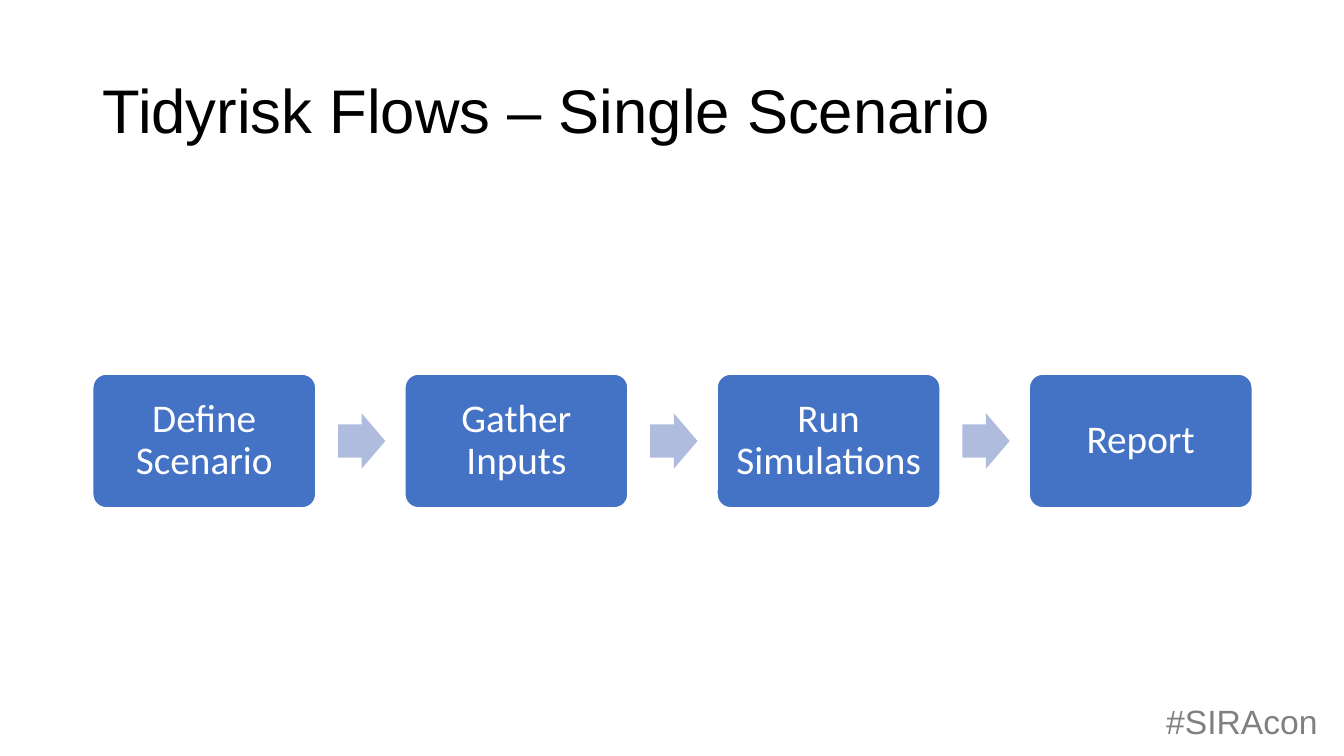
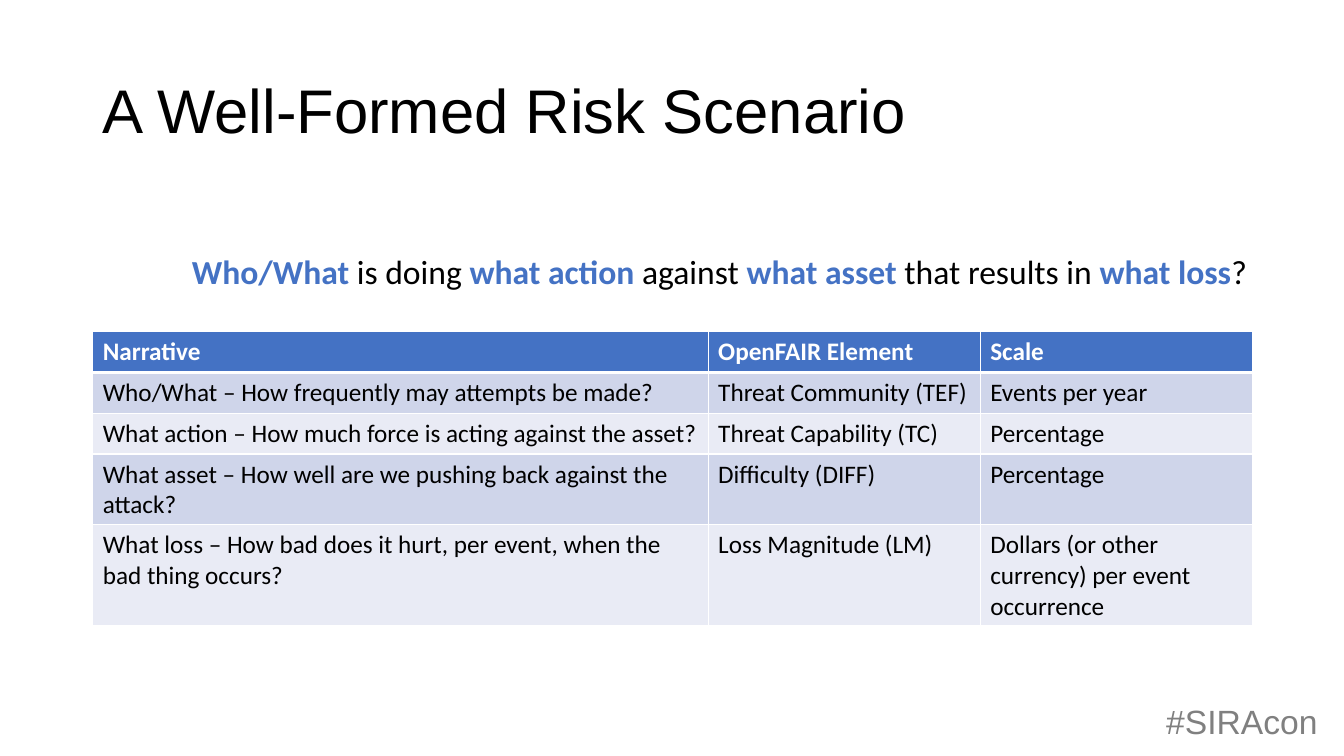
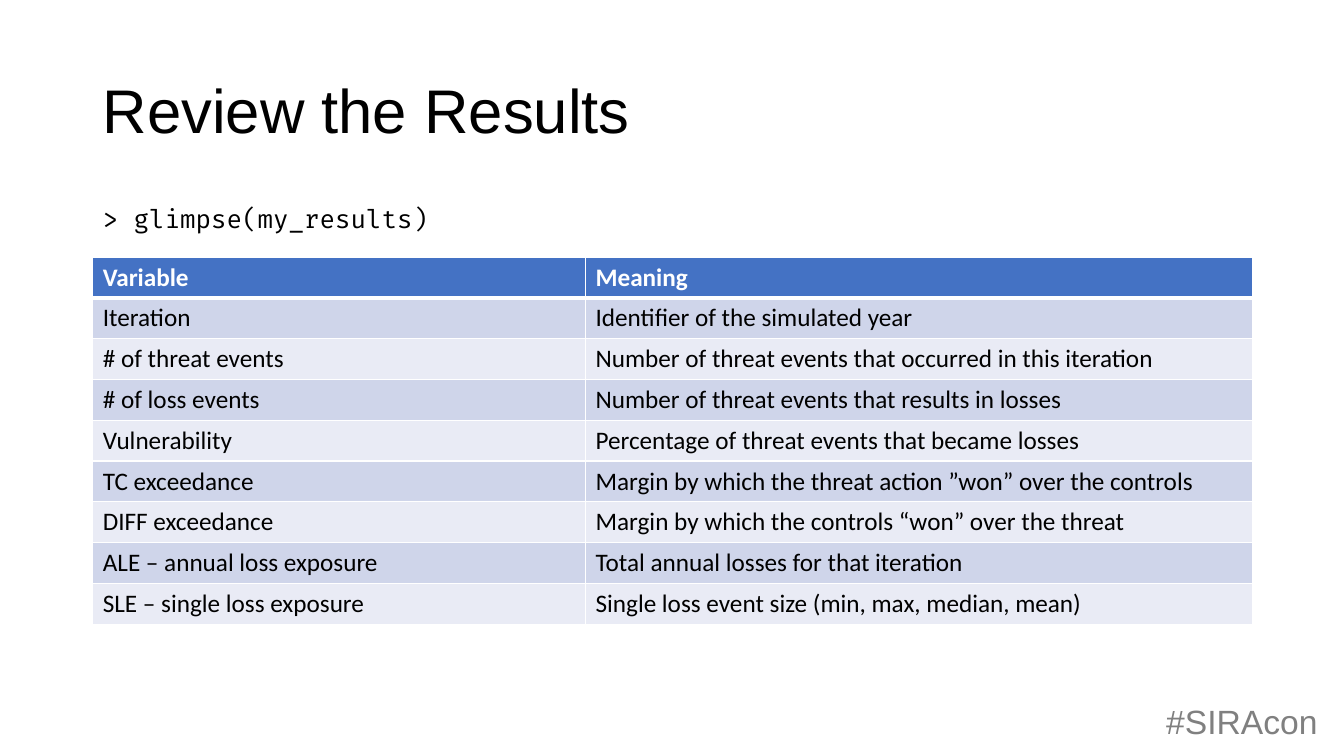
from lxml.etree import SubElement
from pptx import Presentation
from pptx.dml.color import RGBColor
from pptx.enum.shapes import MSO_SHAPE as Shape
from pptx.enum.text import MSO_ANCHOR as Anchor, PP_ALIGN as Align
from pptx.oxml import parse_xml
from pptx.oxml.ns import nsdecls, qn
from pptx.util import Inches, Pt

COLORS = {
    "black": "000000", "white": "FFFFFF", "blue": "4472C4",
    "arrow": "B0BCDE", "footer": "808080",
    "band_dark": "CFD5EA", "band_light": "E9EBF5",
}
WIDTH, HEIGHT = 13.33, 7.5
MARGIN, COLUMNS, ROWS = 0.92, 26, 30
COLUMN, ROW = 11.5 / COLUMNS, HEIGHT / ROWS


def color(name):
    return RGBColor.from_string(COLORS[name])


def columns(count):
    return Inches(count * COLUMN)


def rows(count):
    return Inches(count * ROW)


def place(left, top, width, height):
    return Inches(MARGIN) + columns(left), rows(top), columns(width), rows(height)


class Deck:
    heading_font, body_font, code_font = "Arial", "Calibri", "Fira Code"

    def __init__(self):
        self.presentation = Presentation()
        self.presentation.slide_width = Inches(WIDTH)
        self.presentation.slide_height = Inches(HEIGHT)
        self.slide = None

    def add_slide(self, title):
        self.slide = self.presentation.slides.add_slide(self.presentation.slide_layouts[6])
        self.text((23.85, 27.6, 3.95, 2), [("#SIRAcon", "footer", False)], 24, self.heading_font)
        self.text((0, 1.6, COLUMNS, 5.8), [(title, "black", False)], 44, self.heading_font,
                  Anchor.MIDDLE, 0.9)

    def add_runs(self, paragraph, runs, size, font):
        for text, tint, bold in runs:
            run = paragraph.add_run()
            run.text = text
            run.font.name = font
            run.font.size = Pt(size)
            run.font.bold = bold
            run.font.color.rgb = color(tint)

    def text(self, box, runs, size, font, anchor=Anchor.TOP, spacing=1.0):
        frame = self.slide.shapes.add_textbox(*place(*box)).text_frame
        frame.word_wrap = True
        frame.vertical_anchor = anchor
        paragraph = frame.paragraphs[0]
        paragraph.line_spacing = spacing
        self.add_runs(paragraph, runs, size, font)

    def shape(self, kind, box, fill, adjustments):
        shape = self.slide.shapes.add_shape(kind, *place(*box))
        shape.shadow.inherit = False
        shape.fill.solid()
        shape.fill.fore_color.rgb = color(fill)
        shape.line.fill.background()
        for index, value in enumerate(adjustments):
            shape.adjustments[index] = value
        return shape

    def card(self, box, label):
        shape = self.shape(Shape.ROUNDED_RECTANGLE, box, "blue", [0.1])
        shape.line.color.rgb = color("white")
        shape.line.width = Pt(1)
        frame = shape.text_frame
        frame.word_wrap = True
        frame.vertical_anchor = Anchor.MIDDLE
        frame.margin_left = frame.margin_right = Inches(0.12)
        frame.margin_top = frame.margin_bottom = Inches(0.12)
        paragraph = frame.paragraphs[0]
        paragraph.alignment = Align.CENTER
        paragraph.line_spacing = 0.9
        self.add_runs(paragraph, [(label, "white", False)], 28, self.body_font)

    def process(self, top, labels, card=5, gap=2):
        for index, label in enumerate(labels):
            left = index * (card + gap)
            if index:
                self.shape(Shape.RIGHT_ARROW, (left - 1.5, top + 1.55, 1.06, 2.2),
                           "arrow", [0.6, 0.5])
            self.card((left, top, card, 5.3), label)

    def borders(self, cell, top, bottom):
        properties = cell._tc.get_or_add_tcPr()
        sides = (("lnL", 1), ("lnR", 1), ("lnT", top), ("lnB", bottom))
        for index, (side, width) in enumerate(sides):
            line = parse_xml(f'<a:{side} {nsdecls("a")} w="{Pt(width)}"/>')
            fill = SubElement(line, qn("a:solidFill"))
            SubElement(fill, qn("a:srgbClr"), val=COLORS["white"])
            properties.insert(index, line)

    def table(self, top, widths, records, row_height=1.62):
        box = place(0, top, sum(widths), row_height * len(records))
        table = self.slide.shapes.add_table(len(records), len(widths), *box).table
        for index, width in enumerate(widths):
            table.columns[index].width = columns(width)
        for row, record in enumerate(records):
            header = row == 0
            fill = "blue" if header else ("band_light", "band_dark")[row % 2]
            tint = "white" if header else "black"
            table.rows[row].height = rows(row_height)
            for column, text in enumerate(record):
                cell = table.cell(row, column)
                cell.fill.solid()
                cell.fill.fore_color.rgb = color(fill)
                self.borders(cell, 3 if row == 1 else 1, 3 if header else 1)
                self.add_runs(cell.text_frame.paragraphs[0], [(text, tint, header)],
                              18, self.body_font)


def main():
    deck = Deck()

    deck.add_slide("Tidyrisk Flows – Single Scenario")
    deck.process(14.85, ["Define Scenario", "Gather Inputs", "Run Simulations", "Report"])

    deck.add_slide("A Well-Formed Risk Scenario")
    deck.table(13.16, [13.8, 6.1, 6.1], [
        ("Narrative", "OpenFAIR Element", "Scale"),
        ("Who/What – How frequently may attempts be made?",
         "Threat Community (TEF)", "Events per year"),
        ("What action – How much force is acting against the asset?",
         "Threat Capability (TC)", "Percentage"),
        ("What asset – How well are we pushing back against the attack?",
         "Difficulty (DIFF)", "Percentage"),
        ("What loss – How bad does it hurt, per event, when the bad thing occurs?",
         "Loss Magnitude (LM)", "Dollars (or other currency) per event occurrence"),
    ])
    sentence = ["Who/What ", "is doing ", "what action ", "against ",
                "what asset ", "that results in ", "what loss", "?"]
    runs = [(text, "black" if index % 2 else "blue", index % 2 == 0)
            for index, text in enumerate(sentence)]
    deck.text((2, 9.76, 24.5, 2), runs, 24, deck.body_font)

    deck.add_slide("Review the Results")
    deck.text((0, 8, COLUMNS, 2), [("> glimpse(my_results)", "black", False)], 18,
              deck.code_font, spacing=0.9)
    deck.table(10.2, [11.05, 14.95], [
        ("Variable", "Meaning"),
        ("Iteration", "Identifier of the simulated year"),
        ("# of threat events", "Number of threat events that occurred in this iteration"),
        ("# of loss events", "Number of threat events that results in losses"),
        ("Vulnerability", "Percentage of threat events that became losses"),
        ("TC exceedance", "Margin by which the threat action ”won” over the controls"),
        ("DIFF exceedance", "Margin by which the controls “won” over the threat"),
        ("ALE – annual loss exposure", "Total annual losses for that iteration"),
        ("SLE – single loss exposure", "Single loss event size (min, max, median, mean)"),
    ])

    deck.presentation.save("out.pptx")


if __name__ == "__main__":
    main()
